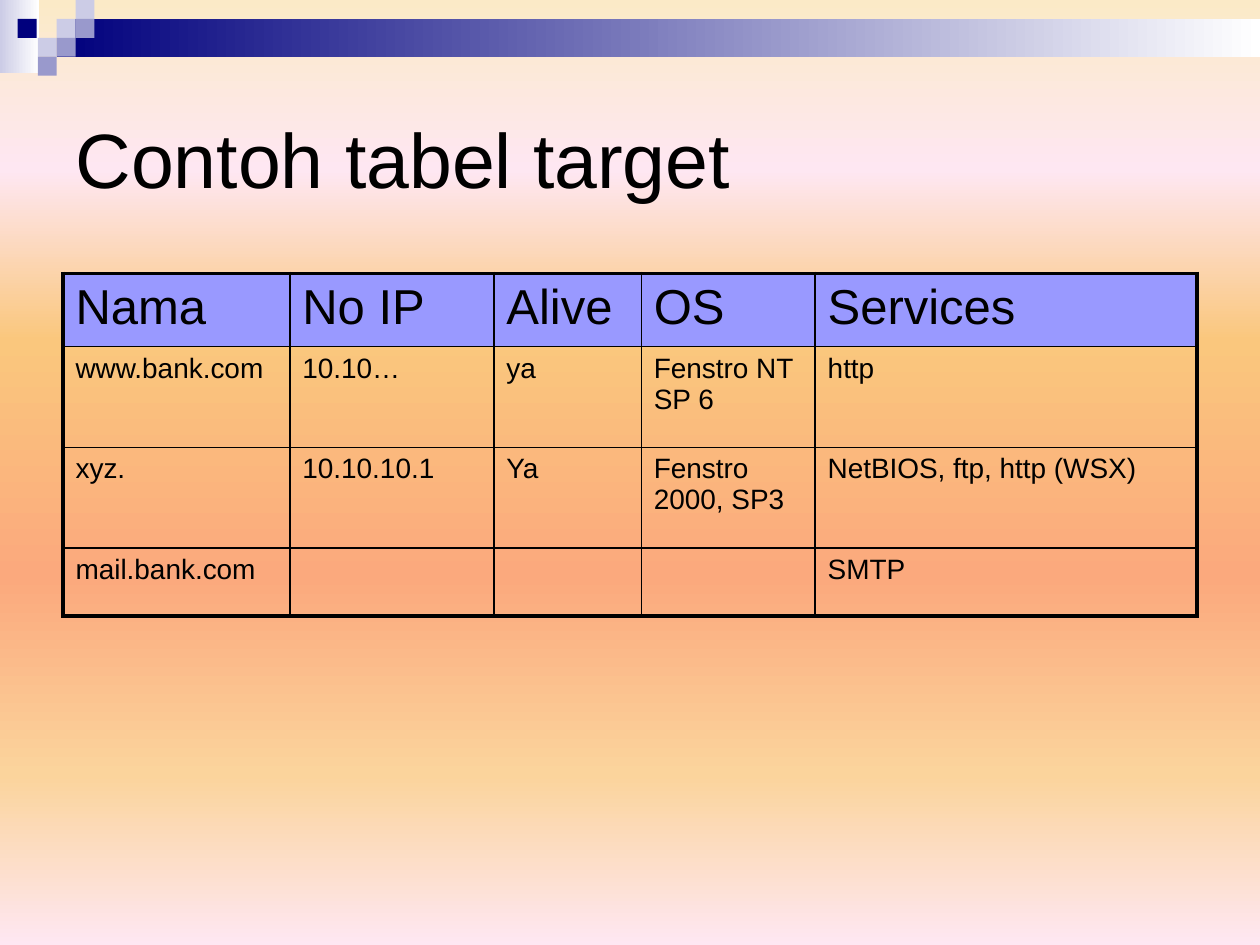
from dataclasses import dataclass
from typing import NamedTuple

from lxml.etree import SubElement
from pptx import Presentation
from pptx.dml.color import RGBColor
from pptx.enum.shapes import MSO_SHAPE as Preset
from pptx.enum.text import MSO_ANCHOR as Anchor, MSO_AUTO_SIZE as AutoSize, PP_ALIGN as Align
from pptx.oxml.ns import qn
from pptx.util import Pt

EMU_PER_PX = 9144  # 100 px to the inch


class Stop(NamedTuple):
    percent: int
    color: str


class Box(NamedTuple):
    left: int
    top: int
    width: int
    height: int


class Square(NamedTuple):
    left: int
    top: int
    color: str


@dataclass(frozen=True)
class Theme:
    font: str = "Arial"
    ink: str = "000000"
    navy: str = "00007D"
    lilac: str = "CCCCE6"
    violet: str = "9999CC"
    white: str = "FFFFFF"
    header: str = "9999FF"
    title_size: int = 44
    header_size: int = 28
    body_size: int = 16
    outer_line: float = 2.25
    inner_line: float = 1
    space_before_percent: int = 20


THEME = Theme()
BACKGROUND = [Stop(0, "FBEAC7"), Stop(18, "FEE7F2"), Stop(36, "FAC77D"),
              Stop(61, "FBA97D"), Stop(82, "FBD49C"), Stop(100, "FEE7F2")]
SQUARE_SIDE = 15
SQUARES = [
    Square(45, 15, THEME.lilac), Square(60, 0, THEME.lilac), Square(60, 15, THEME.violet),
    Square(30, 30, THEME.lilac), Square(14, 15, THEME.navy), Square(45, 30, THEME.violet),
    Square(30, 45, THEME.violet),
]
COLUMN_WIDTHS = [180, 162, 117, 138, 303]
ROW_HEIGHTS = [58, 80, 80, 54]
TARGETS = [
    ["Nama", "No IP", "Alive", "OS", "Services"],
    ["www.bank.com", "10.10…", "ya", "Fenstro NT SP 6", "http"],
    ["xyz.", "10.10.10.1", "Ya", "Fenstro 2000, SP3", "NetBIOS, ftp, http (WSX)"],
    ["mail.bank.com", "", "", "", "SMTP"],
]


def px(length: int) -> int:
    return length * EMU_PER_PX


def scaled(box: Box) -> list[int]:
    return [px(length) for length in box]


def set_gradient(fill, element, stops: list[Stop], angle: int) -> None:
    """Fill with any number of stops; element is the XML that holds the fill."""
    fill.gradient()
    fill.gradient_angle = angle
    stop_list = next(element.iter(qn("a:gsLst")))
    stop_list.clear()
    for stop in stops:
        entry = SubElement(stop_list, qn("a:gs"), pos=str(stop.percent * 1000))
        SubElement(entry, qn("a:srgbClr"), val=stop.color)


def add_rectangle(slide, box: Box):
    shape = slide.shapes.add_shape(Preset.RECTANGLE, *scaled(box))
    shape.shadow.inherit = False
    shape.line.fill.background()
    return shape


def add_fading_bar(slide, box: Box, color: str) -> None:
    shape = add_rectangle(slide, box)
    set_gradient(shape.fill, shape.element, [Stop(0, color), Stop(100, THEME.white)], 0)


def add_square(slide, square: Square) -> None:
    shape = add_rectangle(slide, Box(square.left, square.top, SQUARE_SIDE, SQUARE_SIDE))
    shape.fill.solid()
    shape.fill.fore_color.rgb = RGBColor.from_string(square.color)


def format_runs(paragraph, size: int) -> None:
    for run in paragraph.runs:
        run.font.name = THEME.font
        run.font.size = Pt(size)
        run.font.color.rgb = RGBColor.from_string(THEME.ink)


def set_title(slide, text: str, box: Box) -> None:
    title = slide.shapes.title
    title.left, title.top, title.width, title.height = scaled(box)
    frame = title.text_frame
    frame.text = text
    frame.word_wrap = True
    frame.auto_size = AutoSize.NONE
    frame.vertical_anchor = Anchor.MIDDLE
    frame.paragraphs[0].alignment = Align.LEFT
    format_runs(frame.paragraphs[0], THEME.title_size)


def set_borders(cell, outer_sides: dict[str, bool]) -> None:
    """Draw all four sides, thicker where the side lies on the table's edge."""
    properties = cell._tc.get_or_add_tcPr()
    for side, is_outer in outer_sides.items():
        width = Pt(THEME.outer_line if is_outer else THEME.inner_line)
        line = SubElement(properties, qn(f"a:ln{side}"), w=str(width))
        SubElement(SubElement(line, qn("a:solidFill")), qn("a:srgbClr"), val=THEME.ink)


def set_space_before(paragraph, percent: int) -> None:
    spacing = SubElement(paragraph._p.get_or_add_pPr(), qn("a:spcBef"))
    SubElement(spacing, qn("a:spcPct"), val=str(percent * 1000))


def fill_cell(cell, text: str, is_header: bool) -> None:
    if is_header:
        cell.fill.solid()
        cell.fill.fore_color.rgb = RGBColor.from_string(THEME.header)
    else:
        cell.fill.background()
    if text:
        cell.text_frame.text = text
        paragraph = cell.text_frame.paragraphs[0]
        set_space_before(paragraph, THEME.space_before_percent)
        format_runs(paragraph, THEME.header_size if is_header else THEME.body_size)


def add_target_table(slide, left: int, top: int) -> None:
    box = Box(left, top, sum(COLUMN_WIDTHS), sum(ROW_HEIGHTS))
    last_row, last_column = len(ROW_HEIGHTS) - 1, len(COLUMN_WIDTHS) - 1
    table = slide.shapes.add_table(last_row + 1, last_column + 1, *scaled(box)).table
    table.first_row = table.horz_banding = False
    for column, width in zip(table.columns, COLUMN_WIDTHS):
        column.width = px(width)
    for row, height in zip(table.rows, ROW_HEIGHTS):
        row.height = px(height)
    for r, texts in enumerate(TARGETS):
        for c, text in enumerate(texts):
            cell = table.cell(r, c)
            set_borders(cell, {"L": c == 0, "R": c == last_column,
                               "T": r == 0, "B": r == last_row})
            fill_cell(cell, text, is_header=r == 0)


def main() -> None:
    presentation = Presentation()
    presentation.slide_width, presentation.slide_height = px(1000), px(750)
    slide = presentation.slides.add_slide(presentation.slide_layouts[5])
    set_gradient(slide.background.fill, slide.element, BACKGROUND, 270)
    add_fading_bar(slide, Box(0, 0, 31, 58), THEME.lilac)
    add_fading_bar(slide, Box(45, 15, 955, 30), THEME.navy)
    for square in SQUARES:
        add_square(slide, square)
    set_title(slide, "Contoh tabel target", Box(50, 50, 900, 150))
    add_target_table(slide, 50, 217)
    presentation.save("out.pptx")


if __name__ == "__main__":
    main()
